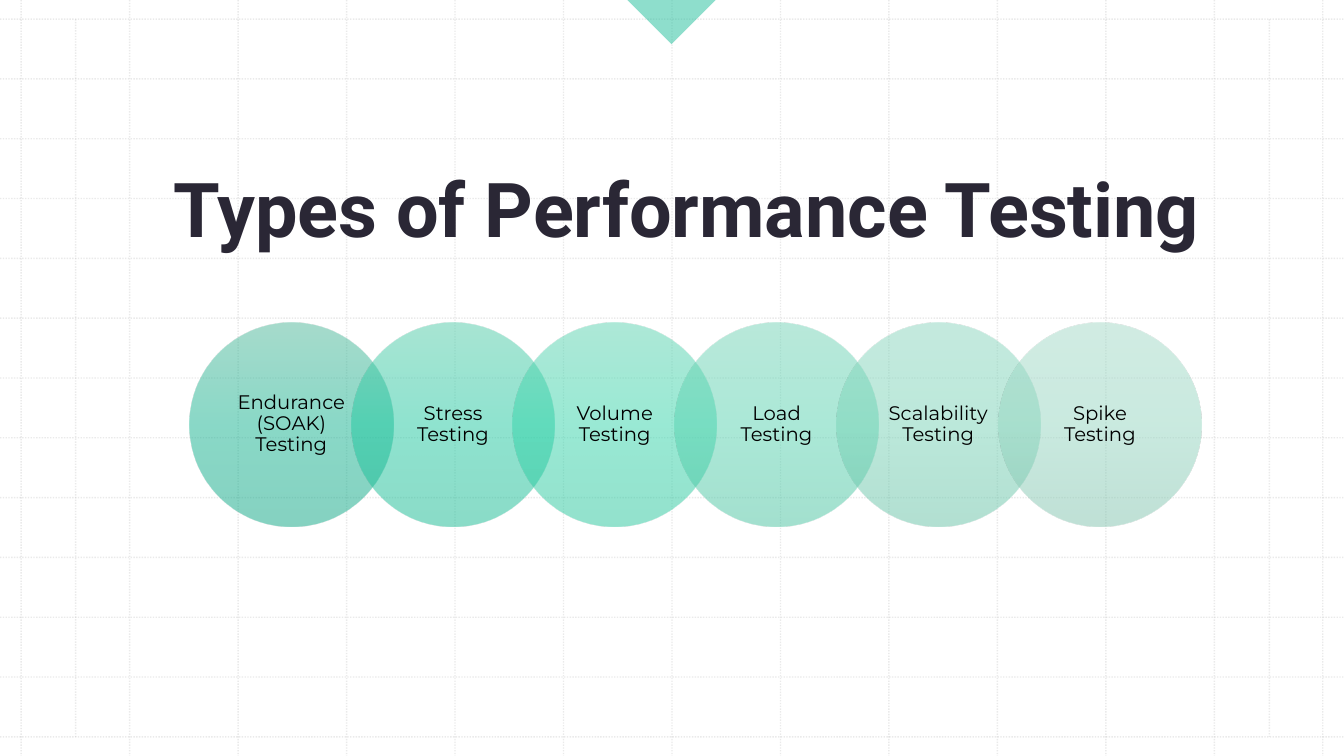
from pptx import Presentation
from pptx import util as u
from pptx.dml.color import RGBColor
from pptx.enum import dml, shapes, text
from pptx.oxml import parse_xml
from pptx.oxml.ns import nsdecls, qn
from pptx.util import Inches

WIDTH, HEIGHT = 13.33, 7.5
GRID_STEPS = 12

# Test type and its gradient from top to bottom
TEST_TYPES = [
    ("Endurance (SOAK) Testing", ("4EB89A", "14B491", "0BA684")),
    ("Stress Testing", ("51CCA9", "1FC9A1", "15BA92")),
    ("Volume Testing", ("5CD4B1", "34D5AB", "26C69C")),
    ("Load Testing", ("73D4B7", "57D4B1", "47C3A0")),
    ("Scalability Testing", ("8CD6BF", "78D4B8", "65C2A6")),
    ("Spike Testing", ("A5DAC8", "96D7C2", "81C3AE")),
]


def set_color(color, value, opacity=100):
    color.rgb = RGBColor.from_string(value)


def set_solid(fill, value, opacity=100):
    fill.solid()
    set_color(fill.fore_color, value)
    if opacity < 100:
        srgb = fill._xPr.find(f".//{qn('a:srgbClr')}")
        srgb.append(parse_xml(f'<a:alpha {nsdecls("a")} val="{opacity * 1000}"/>'))


def set_gradient(shape, values, opacity):
    stops = "".join(
        f'<a:gs pos="{i * 50000}"><a:srgbClr val="{value}">'
        f'<a:alpha val="{opacity * 1000}"/></a:srgbClr></a:gs>'
        for i, value in enumerate(values))
    shape._element.spPr.find(qn("a:prstGeom")).addnext(parse_xml(
        f'<a:gradFill {nsdecls("a")} rotWithShape="1"><a:gsLst>{stops}</a:gsLst>'
        '<a:lin ang="5400000" scaled="0"/></a:gradFill>'))


def set_font(paragraph, name, size, value, bold=False):
    paragraph.alignment = text.PP_ALIGN.CENTER
    font = paragraph.font
    font.name, font.size, font.bold = name, u.Pt(size), bold
    set_color(font.color, value)


def add_grid_line(slide, x1, y1, x2, y2):
    line = slide.shapes.add_connector(
        shapes.MSO_CONNECTOR.STRAIGHT,
        Inches(x1), Inches(y1), Inches(x2), Inches(y2))
    line.line.width = u.Pt(1)
    set_solid(line.line.fill, "BCBCBC", 30)
    line.line.dash_style = dml.MSO_LINE.ROUND_DOT
    line._element.spPr.append(parse_xml(f'<a:effectLst {nsdecls("a")}/>'))


def add_grid(slide):
    left, right, top, bottom = 0.21, 13.12, 0.19, 7.31
    for i in range(GRID_STEPS + 1):
        x = left + i * (right - left) / GRID_STEPS
        y = top + i * (bottom - top) / GRID_STEPS
        add_grid_line(slide, x, 0, x, HEIGHT)
        add_grid_line(slide, 0, y, WIDTH, y)
    # Half-column lines near both edges
    for x in (0.75, 12.59):
        add_grid_line(slide, x, top, x, bottom)


def add_plain_shape(slide, kind, left, top, size):
    shape = slide.shapes.add_shape(
        kind, Inches(left), Inches(top), Inches(size), Inches(size))
    shape.shadow.inherit = False
    shape.line.fill.background()
    return shape


def add_pointer(slide):
    pointer = add_plain_shape(
        slide, shapes.MSO_SHAPE.RIGHT_TRIANGLE, 6.35, -0.31, 0.62)
    pointer.rotation = 315
    set_solid(pointer.fill, "1EBE9B", 50)


def format_title(slide, wording):
    title = slide.shapes.title
    title.left, title.top = Inches(1.44), Inches(1.38)
    title.width, title.height = Inches(10.74), Inches(1.18)
    frame = title.text_frame
    frame.text = wording
    frame.auto_size = text.MSO_AUTO_SIZE.NONE
    frame.vertical_anchor = text.MSO_ANCHOR.BOTTOM
    set_font(frame.paragraphs[0], "Roboto", 54, "2A2735", bold=True)
    # Bring the title in front of the grid
    slide.shapes._spTree.append(title._element)


def add_test_circle(slide, left, wording, gradient):
    circle = add_plain_shape(slide, shapes.MSO_SHAPE.OVAL, left, 3.2, 2.02)
    set_gradient(circle, gradient, 50)
    frame = circle.text_frame
    frame.text = wording
    frame.word_wrap = True
    frame.vertical_anchor = text.MSO_ANCHOR.MIDDLE
    frame.margin_left = frame.margin_right = Inches(0.11)
    frame.margin_top = frame.margin_bottom = Inches(0.02)
    label = frame.paragraphs[0]
    label.line_spacing = 0.9
    set_font(label, "Montserrat", 14, "000000")


def main():
    deck = Presentation()
    deck.slide_width, deck.slide_height = Inches(WIDTH), Inches(HEIGHT)
    slide = deck.slides.add_slide(deck.slide_layouts[5])

    # Backdrop
    add_grid(slide)
    add_pointer(slide)

    # Heading
    format_title(slide, "Types of Performance Testing")

    # Overlapping circles
    for i, (wording, gradient) in enumerate(TEST_TYPES):
        add_test_circle(slide, 1.88 + i * 1.604, wording, gradient)

    deck.save("out.pptx")


if __name__ == "__main__":
    main()
